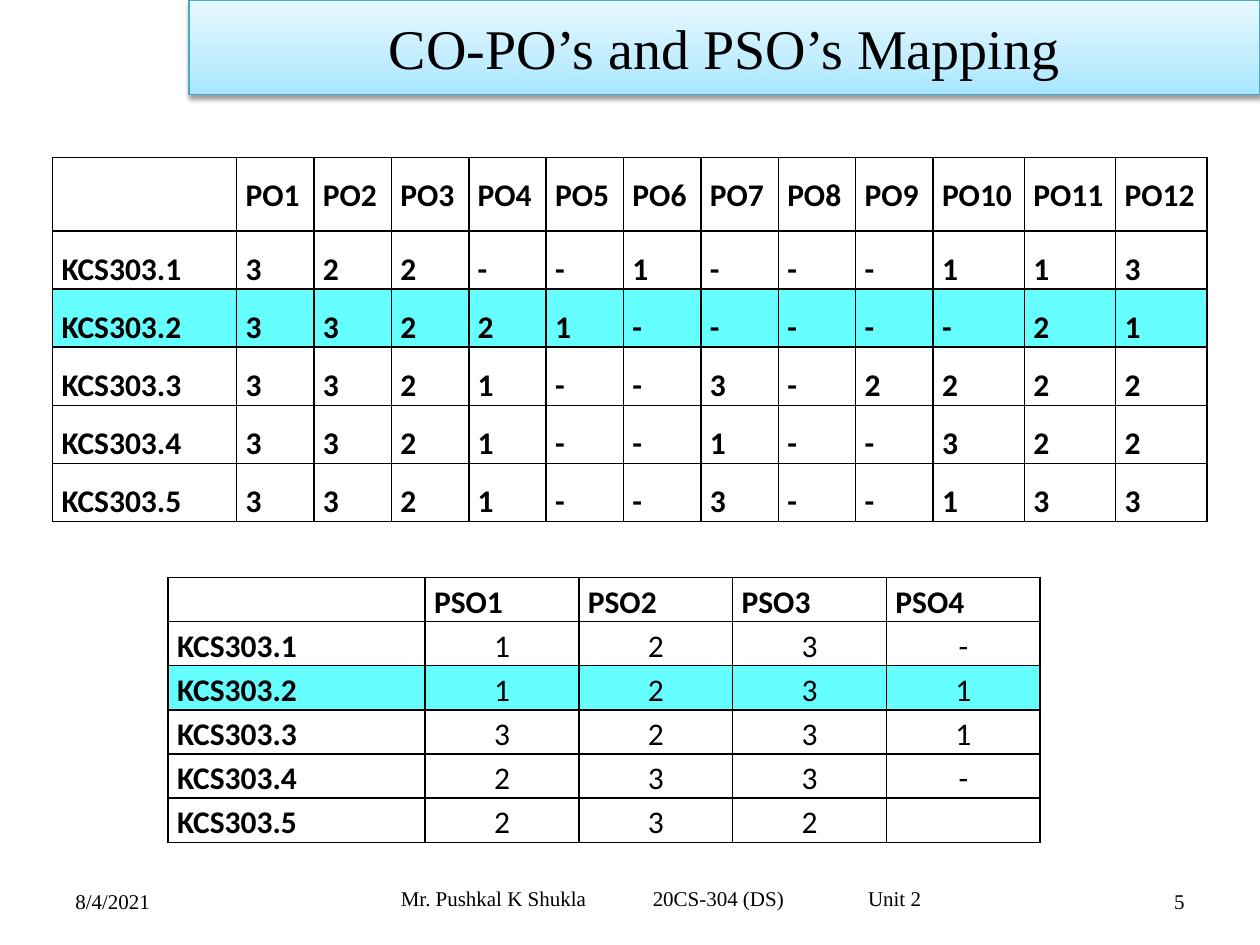
from dataclasses import dataclass

from lxml.etree import SubElement
from pptx import Presentation
from pptx.dml.color import RGBColor
from pptx.enum.shapes import MSO_SHAPE
from pptx.enum.text import MSO_ANCHOR, PP_ALIGN
from pptx.oxml import parse_xml
from pptx.oxml.ns import nsdecls, qn
from pptx.util import Cm, Pt


@dataclass(frozen=True)
class Theme:
    ink: str = "000000"
    highlight: str = "66FFFF"
    title_line: str = "46AAC5"
    title_stops: tuple = ((0, "A7E6FF"), (35, "C1EDFF"), (100, "E7F8FF"))
    serif: str = "Times New Roman"
    sans: str = "Calibri"
    title_size: int = 32
    table_size: int = 18
    footer_size: int = 12


@dataclass(frozen=True)
class Box:
    left: float
    top: float
    width: float
    height: float

    def lengths(self):
        return Cm(self.left), Cm(self.top), Cm(self.width), Cm(self.height)


@dataclass(frozen=True)
class TableStyle:
    line_spacing: float
    header_align: PP_ALIGN
    value_align: PP_ALIGN
    bold_values: bool


THEME = Theme()
OUTCOMES = [f"KCS303.{number}" for number in range(1, 6)]
HIGHLIGHTED_ROW = 2
PO_LEVELS = ["322--1---113", "33221-----21", "3321--3-2222",
             "3321--1--322", "3321--3--133"]
PSO_LEVELS = ["123-", "1231", "3231", "233-", "232"]
PO_STYLE = TableStyle(1.5, PP_ALIGN.LEFT, PP_ALIGN.LEFT, True)
PSO_STYLE = TableStyle(1.15, PP_ALIGN.JUSTIFY, PP_ALIGN.CENTER, False)


def add_span(para, text, font, size, bold=False):
    span = para.add_run()
    span.text = text
    span.font.name = font
    span.font.size = Pt(size)
    span.font.bold = bold
    span.font.color.rgb = RGBColor.from_string(THEME.ink)


def add_title(page, box, text):
    banner = page.shapes.add_shape(MSO_SHAPE.RECTANGLE, *box.lengths())
    banner.line.color.rgb = RGBColor.from_string(THEME.title_line)
    banner.line.width = Pt(0.75)
    stops = "".join(f'<a:gs pos="{place * 1000}"><a:srgbClr val="{color}"/></a:gs>'
                    for place, color in THEME.title_stops)
    properties = banner._element.spPr
    properties.find(qn("a:prstGeom")).addnext(parse_xml(
        f'<a:gradFill {nsdecls("a")} rotWithShape="1"><a:gsLst>{stops}</a:gsLst>'
        '<a:lin ang="16200000" scaled="0"/></a:gradFill>'))
    banner.shadow.inherit = False
    properties.find(qn("a:effectLst")).append(parse_xml(
        f'<a:outerShdw {nsdecls("a")} blurRad="{Pt(3.1)}" dist="{Pt(1.6)}" '
        'dir="5400000" rotWithShape="0"><a:srgbClr val="000000">'
        '<a:alpha val="38000"/></a:srgbClr></a:outerShdw>'))
    banner.text_frame.vertical_anchor = MSO_ANCHOR.MIDDLE
    para = banner.text_frame.paragraphs[0]
    para.alignment = PP_ALIGN.CENTER
    add_span(para, text, THEME.serif, THEME.title_size)


def add_borders(cell):
    properties = cell._tc.get_or_add_tcPr()
    for side in ("lnL", "lnR", "lnT", "lnB"):
        line = SubElement(properties, qn(f"a:{side}"), w=str(Pt(1)))
        fill = SubElement(line, qn("a:solidFill"))
        SubElement(fill, qn("a:srgbClr"), val=THEME.ink)


def style_cell(cell, highlighted):
    cell.margin_left = cell.margin_right = Cm(0.18)
    cell.margin_top = cell.margin_bottom = 0
    add_borders(cell)
    if highlighted:
        cell.fill.solid()
        cell.fill.fore_color.rgb = RGBColor.from_string(THEME.highlight)
    else:
        cell.fill.background()


def add_mapping_table(page, box, headers, levels, widths, heights, style):
    """Cross the course outcomes with the given outcome columns."""
    rows = [["", *headers]]
    rows += [[outcome, *values.ljust(len(headers))]
             for outcome, values in zip(OUTCOMES, levels)]
    table = page.shapes.add_table(len(rows), len(widths), *box.lengths()).table
    table.first_row = table.horz_banding = False
    for column, width in zip(table.columns, widths):
        column.width = Cm(width)
    for row, height in zip(table.rows, heights):
        row.height = Cm(height)
    for row_index, texts in enumerate(rows):
        for column_index, text in enumerate(texts):
            cell = table.cell(row_index, column_index)
            style_cell(cell, row_index == HIGHLIGHTED_ROW)
            para = cell.text_frame.paragraphs[0]
            para.font.size = Pt(THEME.table_size)
            if not text.strip():
                continue
            is_value = row_index > 0 and column_index > 0
            para.line_spacing = style.line_spacing
            para.space_after = Pt(10)
            para.alignment = style.value_align if is_value else style.header_align
            add_span(para, text, THEME.sans, THEME.table_size,
                     style.bold_values or not is_value)


def add_footer_text(page, box, text, align=PP_ALIGN.LEFT, inset=0.25, tabs=()):
    label = page.shapes.add_textbox(*box.lengths())
    frame = label.text_frame
    frame.word_wrap = True
    frame.vertical_anchor = MSO_ANCHOR.MIDDLE
    frame.margin_left = Cm(inset)
    para = frame.paragraphs[0]
    para.alignment = align
    if tabs:
        tab_list = SubElement(para._p.get_or_add_pPr(), qn("a:tabLst"))
        for place in tabs:
            SubElement(tab_list, qn("a:tab"), pos=str(Cm(place)), algn="l")
    add_span(para, text, THEME.serif, THEME.footer_size)


def add_footer(page, box):
    side_width, height = 5.92, 1.02
    add_footer_text(page, Box(box.left, box.top, side_width, height), "8/4/2021")
    add_footer_text(page, Box(box.left + box.width - side_width, box.top,
                              side_width, height), "5", PP_ALIGN.RIGHT)
    add_footer_text(page, Box(box.left + 5.08, box.top - 0.05, 13.97, height),
                    "Mr. Pushkal K Shukla\t20CS-304 (DS)\tUnit 2",
                    inset=1.73, tabs=(5.08, 9.42))


def main():
    deck = Presentation()
    deck.slide_width, deck.slide_height = Cm(25.4), Cm(19.05)
    page = deck.slides.add_slide(deck.slide_layouts[6])
    add_title(page, Box(3.81, 0, 21.59, 1.91), "CO-PO’s and PSO’s Mapping")
    add_footer(page, Box(1.27, 17.65, 22.86, 1.02))
    add_mapping_table(page, Box(1.06, 3.18, 23.29, 7.34),
                      [f"PO{number}" for number in range(1, 13)], PO_LEVELS,
                      [3.71] + [1.56] * 9 + [1.84] * 3, [1.48] + [1.17] * 5, PO_STYLE)
    add_mapping_table(page, Box(3.39, 11.64, 17.58, 5.34),
                      [f"PSO{number}" for number in range(1, 5)], PSO_LEVELS,
                      [5.18] + [3.1] * 4, [0.89] * 6, PSO_STYLE)
    deck.save("out.pptx")


if __name__ == "__main__":
    main()
